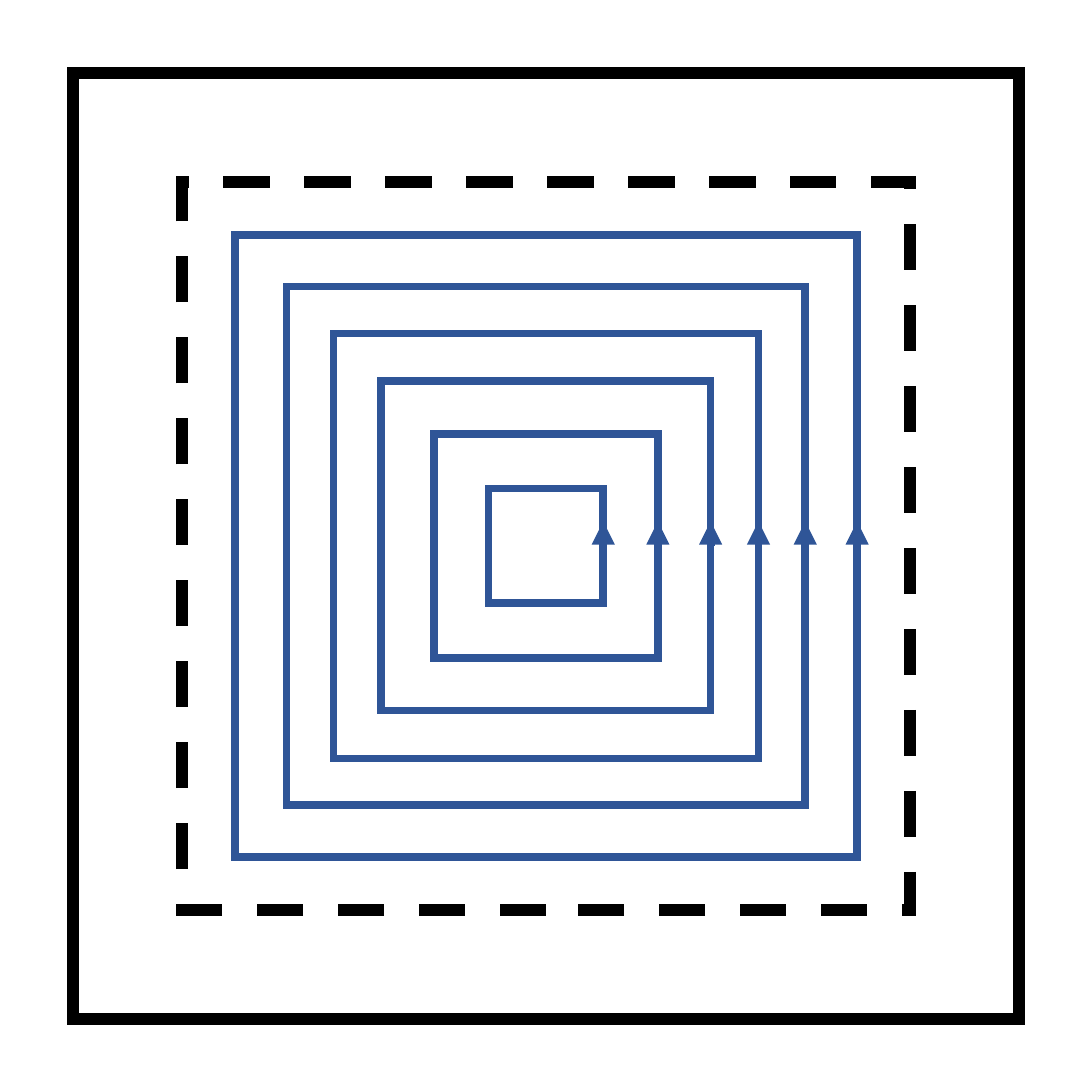
from lxml.etree import SubElement
from pptx import Presentation
from pptx.dml.color import RGBColor
from pptx.enum.dml import MSO_LINE
from pptx.enum.shapes import MSO_CONNECTOR, MSO_SHAPE
from pptx.oxml.ns import qn
from pptx.util import Inches, Pt

SIDE = 5.91
GRID = 60  # columns and rows across the square slide
CENTRE = GRID / 2
BLACK, BLUE = "000000", "2F5597"


def cells(count):
    return Inches(SIDE * count / GRID)


def colour(code):
    return RGBColor.from_string(code)


class LoopDiagram:
    """Holds the line style and the current slide."""

    def __init__(self, slide, loop_width=3, frame_width=4.5):
        self.slide = slide
        self.loop_width = loop_width
        self.frame_width = frame_width

    def style_line(self, line, code, width):
        line.color.rgb = colour(code)
        line.width = Pt(width)

    def square(self, size, code, width, dash=None):
        start = cells(CENTRE - size / 2)
        box = self.slide.shapes.add_shape(
            MSO_SHAPE.RECTANGLE, start, start, cells(size), cells(size))
        box.shadow.inherit = False
        box.fill.background()
        self.style_line(box.line, code, width)
        if dash:
            box.line.dash_style = dash
        SubElement(box.line._get_or_add_ln(), qn("a:miter"), lim="800000")

    def frame(self, size, dash=None):
        self.square(size, BLACK, self.frame_width, dash)

    def arrow_up(self, column, bottom, top):
        arrow = self.slide.shapes.add_connector(
            MSO_CONNECTOR.STRAIGHT,
            cells(column), cells(bottom), cells(column), cells(top))
        self.style_line(arrow.line, BLUE, self.loop_width)
        SubElement(arrow.line._get_or_add_ln(), qn("a:tailEnd"), type="triangle")
        SubElement(arrow._element.spPr, qn("a:effectLst"))

    def loop(self, size):
        self.square(size, BLUE, self.loop_width)
        self.arrow_up(CENTRE + size / 2, bottom=CENTRE, top=28.65)


deck = Presentation()
deck.slide_width = deck.slide_height = Inches(SIDE)
diagram = LoopDiagram(deck.slides.add_slide(deck.slide_layouts[6]))

# Outer and dashed frames
diagram.frame(52)
diagram.frame(40, MSO_LINE.DASH)

# Concentric loops, each with an arrow on its right side
for loop_size in (6.3, 12.3, 18.1, 23.35, 28.5, 34.2):
    diagram.loop(loop_size)

deck.save("out.pptx")
